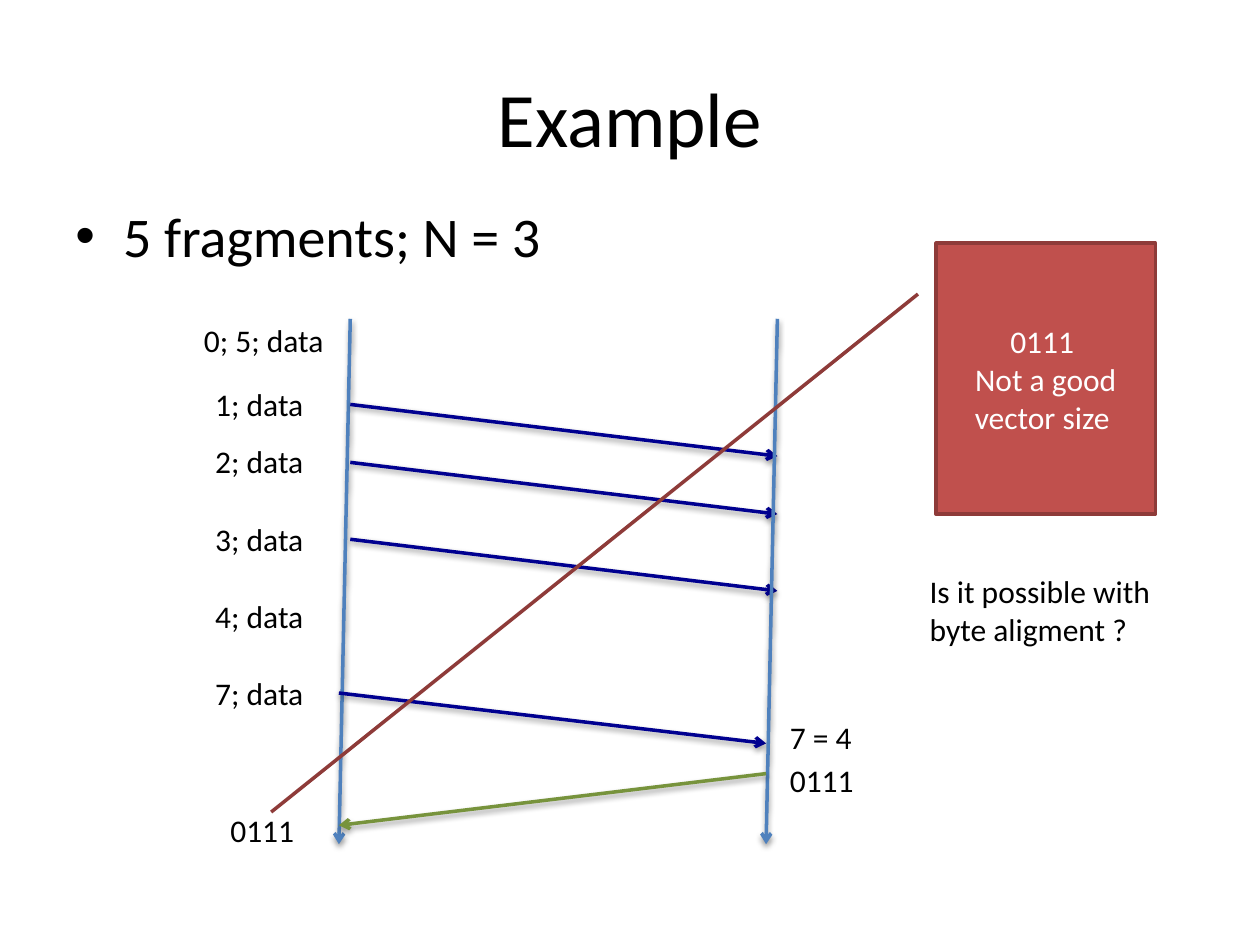
from lxml import etree
from pptx import Presentation
from pptx.dml.color import RGBColor
from pptx.enum.shapes import MSO_CONNECTOR, MSO_SHAPE
from pptx.enum.text import MSO_ANCHOR, MSO_AUTO_SIZE, PP_ALIGN
from pptx.oxml import parse_xml
from pptx.oxml.ns import nsdecls, qn
from pptx.util import Inches, Pt

COLORS = {
    "text": "000000",
    "light": "FFFFFF",
    "lifeline": "4F81BD",
    "message": "000090",
    "reply": "77933C",
    "callout": "C0504D",
    "callout_line": "8E3B39",
}
FONT = "Calibri"
SENDER_TOP, SENDER_BOTTOM = 2.78, 2.69
RECEIVER_TOP, RECEIVER_BOTTOM = 6.17, 6.08
SHADOW = (
    f'<a:effectLst {nsdecls("a")}>'
    '<a:outerShdw blurRad="40000" dist="20000" dir="5400000" rotWithShape="0">'
    '<a:srgbClr val="000000"><a:alpha val="38000"/></a:srgbClr>'
    "</a:outerShdw></a:effectLst>"
)


def color(name):
    """Return the named colour."""
    return RGBColor.from_string(COLORS[name])


def write(frame, lines, size, ink="text", align=PP_ALIGN.LEFT):
    """Fill a text frame with one paragraph per line."""
    for i, line in enumerate(lines):
        paragraph = frame.paragraphs[0] if i == 0 else frame.add_paragraph()
        paragraph.alignment = align
        run = paragraph.add_run()
        run.text = line
        run.font.name = FONT
        run.font.size = Pt(size)
        run.font.color.rgb = color(ink)


def add_title(slide, text):
    """Place and format the title placeholder."""
    title = slide.shapes.title
    title.left, title.top = Inches(0.5), Inches(0.3)
    title.width, title.height = Inches(9), Inches(1.25)
    title.text_frame.vertical_anchor = MSO_ANCHOR.MIDDLE
    write(title.text_frame, [text], 44, align=PP_ALIGN.CENTER)


def add_bullet(slide, text):
    """Add the bulleted line under the title."""
    box = slide.shapes.add_textbox(Inches(0.5), Inches(1.55), Inches(9), Inches(0.67))
    box.text_frame.word_wrap = True
    write(box.text_frame, [text], 32)
    paragraph = box.text_frame.paragraphs[0]
    paragraph.space_before = Pt(6.4)
    properties = paragraph._p.get_or_add_pPr()
    properties.set("marL", str(Inches(0.38)))
    properties.set("indent", str(-Inches(0.38)))
    etree.SubElement(properties, qn("a:buFont")).set("typeface", "Arial")
    etree.SubElement(properties, qn("a:buChar")).set("char", "•")


def add_label(slide, left, top, width, *lines, height=0.4):
    """Add an unwrapped text label."""
    box = slide.shapes.add_textbox(
        Inches(left), Inches(top), Inches(width), Inches(height))
    box.text_frame.word_wrap = False
    box.text_frame.auto_size = MSO_AUTO_SIZE.SHAPE_TO_FIT_TEXT
    write(box.text_frame, lines, 18)


def add_arrow(slide, start, end, ink):
    """Add a shadowed line with an open arrowhead at its end."""
    arrow = slide.shapes.add_connector(
        MSO_CONNECTOR.STRAIGHT, *map(Inches, start + end))
    arrow.line.color.rgb = color(ink)
    arrow.line.width = Pt(2)
    line = arrow.line._get_or_add_ln()
    etree.SubElement(line, qn("a:tailEnd")).set("type", "arrow")
    arrow._element.spPr.append(parse_xml(SHADOW))


def add_callout(slide, lines):
    """Add the callout whose leader points at the reply bitmap."""
    callout = slide.shapes.add_shape(
        MSO_SHAPE.LINE_CALLOUT_1,
        Inches(7.43), Inches(1.93), Inches(1.74), Inches(2.15))
    for i, value in enumerate((0.188, -0.083, 2.1, -3.033)):
        callout.adjustments[i] = value
    callout.shadow.inherit = False
    callout.fill.solid()
    callout.fill.fore_color.rgb = color("callout")
    callout.line.color.rgb = color("callout_line")
    callout.line.width = Pt(2)
    callout.text_frame.word_wrap = True
    callout.text_frame.vertical_anchor = MSO_ANCHOR.MIDDLE
    write(callout.text_frame, lines, 18, "light", PP_ALIGN.CENTER)


def main():
    """Build the slide and save it."""
    deck = Presentation()
    deck.slide_width, deck.slide_height = Inches(10), Inches(7.5)
    slide = deck.slides.add_slide(deck.slide_layouts[5])
    add_title(slide, "Example")
    add_bullet(slide, "5 fragments; N = 3")

    add_arrow(slide, (SENDER_TOP, 2.53), (SENDER_BOTTOM, 6.7), "lifeline")
    add_label(slide, 1.52, 2.5, 1.17, "0; 5; data")
    for number, top in ((1, 3.01), (2, 3.46), (3, 4.08), (4, 4.69), (7, 5.3)):
        add_label(slide, 1.61, top, 0.91, f"{number}; data")
    for y in (3.21, 3.67, 4.28):
        add_arrow(slide, (SENDER_TOP, y), (RECEIVER_TOP, y + 0.41), "message")
    add_arrow(slide, (SENDER_BOTTOM, 5.5), (RECEIVER_BOTTOM, 5.9), "message")
    add_arrow(slide, (RECEIVER_TOP, 2.53), (RECEIVER_BOTTOM, 6.7), "lifeline")
    add_arrow(slide, (RECEIVER_BOTTOM, 6.14), (SENDER_BOTTOM, 6.55), "reply")

    add_label(slide, 6.17, 5.99, 0.71, "0111")
    add_label(slide, 6.17, 5.65, 0.7, "7 = 4")
    add_label(slide, 1.73, 6.39, 0.71, "0111")
    add_callout(slide, ["0111 ", "Not a good vector size "])
    add_label(slide, 7.28, 4.49, 1.97,
              "Is it possible with ", "byte aligment ?", height=0.71)
    deck.save("out.pptx")


main()
